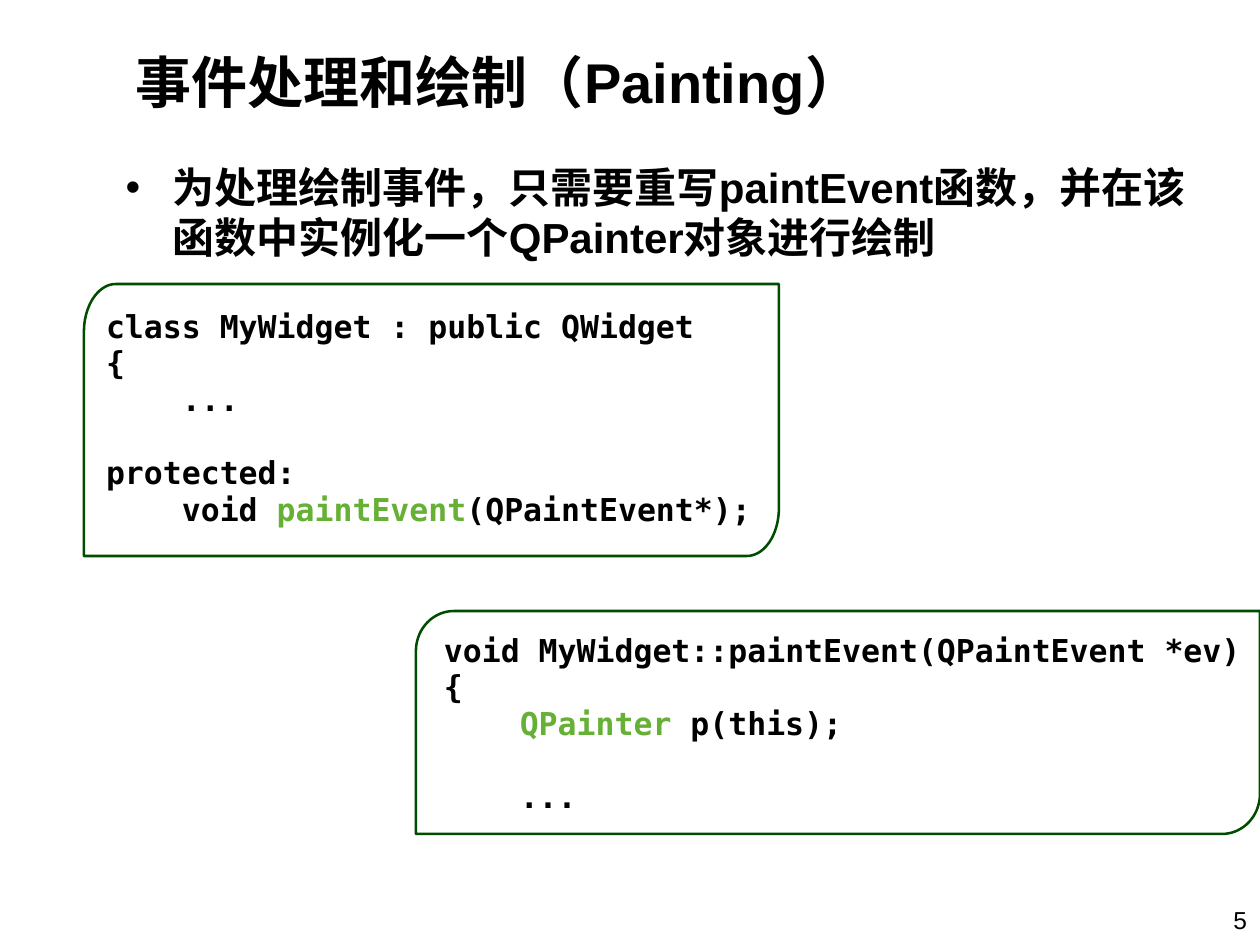
import math

from pptx import Presentation
from pptx import util as u
from pptx.dml.color import RGBColor
from pptx.enum import text

COLOURS = {"ink": "000000", "accent": "66B036", "frame": "004C00"}
PX_PER_INCH = 126
SANS, MONO = "Arial", "DejaVu Sans Mono"


def px(length):
    return u.Emu(round(length * 914400 / PX_PER_INCH))


def place(shape, box):
    shape.left, shape.top, shape.width, shape.height = map(px, box)


def add_span(para, words, size=18, font=SANS, colour="ink", bold=False):
    span = para.add_run()
    span.text = words
    span.font.size = u.Pt(size)
    span.font.name = font
    span.font.bold = bold
    span.font.color.rgb = RGBColor.from_string(COLOURS[colour])


def fill_placeholder(holder, box, words, size, anchor):
    place(holder, box)
    frame = holder.text_frame
    frame.auto_size = text.MSO_AUTO_SIZE.NONE
    frame.vertical_anchor = anchor
    para = frame.paragraphs[0]
    para.alignment = text.PP_ALIGN.LEFT
    para.space_before = u.Pt(0)
    add_span(para, words, size=size, bold=True)


def add_text_box(page, box):
    """Add an empty wrapping text box and return its text frame."""
    frame = page.shapes.add_textbox(*map(px, box)).text_frame
    frame.word_wrap = True
    frame.margin_left = frame.margin_right = px(13)
    frame.margin_top = frame.margin_bottom = px(7)
    return frame


def arc(centre, radii, start):
    """Points of a clockwise quarter ellipse from the angle start, in degrees."""
    angles = [math.radians(start + step) for step in range(0, 91, 5)]
    return [(px(centre[0] + radii[0] * math.cos(a)),
             px(centre[1] + radii[1] * math.sin(a))) for a in angles]


def add_frame(page, box, radii):
    """Outline a box whose top left and bottom right corners are rounded."""
    left, top, width, height = box
    right, bottom = left + width, top + height
    rx, ry = radii
    points = arc((left + rx, top + ry), radii, 180)
    points.append((px(right), px(top)))
    points += arc((right - rx, bottom - ry), radii, 0)
    points.append((px(left), px(bottom)))
    builder = page.shapes.build_freeform(*points[0])
    builder.add_line_segments(points[1:], close=True)
    outline = builder.convert_to_shape()
    outline.shadow.inherit = False
    outline.fill.background()
    outline.line.color.rgb = RGBColor.from_string(COLOURS["frame"])
    outline.line.width = u.Pt(1.45)


def code_panel(page, box, radii, inset, code, accent):
    """Frame a piece of code, with the word accent in the accent colour."""
    left, top, width, height = box
    dx, dy = inset
    add_frame(page, box, radii)
    frame = add_text_box(page, (left + dx, top + dy, width - dx, height - dy))
    for number, line in enumerate(code.split("\n")):
        para = frame.add_paragraph() if number else frame.paragraphs[0]
        para.line_spacing = 0.97
        before, match, after = line.partition(accent)
        add_span(para, before, font=MONO, bold=True)
        if match:
            add_span(para, match, font=MONO, bold=True, colour="accent")
            add_span(para, after, font=MONO, bold=True)


def page_number(page, box, number):
    para = add_text_box(page, box).paragraphs[0]
    para.alignment = text.PP_ALIGN.RIGHT
    add_span(para, number, size=14)


CLASS_CODE = """class MyWidget : public QWidget
{
    ...

protected:
    void paintEvent(QPaintEvent*);"""

METHOD_CODE = """void MyWidget::paintEvent(QPaintEvent *ev)
{
    QPainter p(this);

    ..."""


def main():
    deck = Presentation()
    deck.slide_width, deck.slide_height = px(1260), px(945)
    page = deck.slides.add_slide(deck.slide_layouts[1])
    title, body = page.placeholders
    fill_placeholder(title, (123, 26, 833, 110), "事件处理和绘制（Painting）",
                     32, text.MSO_ANCHOR.MIDDLE)
    fill_placeholder(body, (113, 155, 1091, 725),
                     "为处理绘制事件，只需要重写paintEvent函数，"
                     "并在该函数中实例化一个QPainter对象进行绘制",
                     24, text.MSO_ANCHOR.TOP)
    code_panel(page, (84, 284, 695, 272), (32, 48), (9, 18),
               CLASS_CODE, "paintEvent")
    code_panel(page, (416, 611, 844, 223), (38, 40), (15, 15),
               METHOD_CODE, "QPainter")
    page_number(page, (1057, 898, 203, 47), "5")
    deck.save("out.pptx")


if __name__ == "__main__":
    main()
